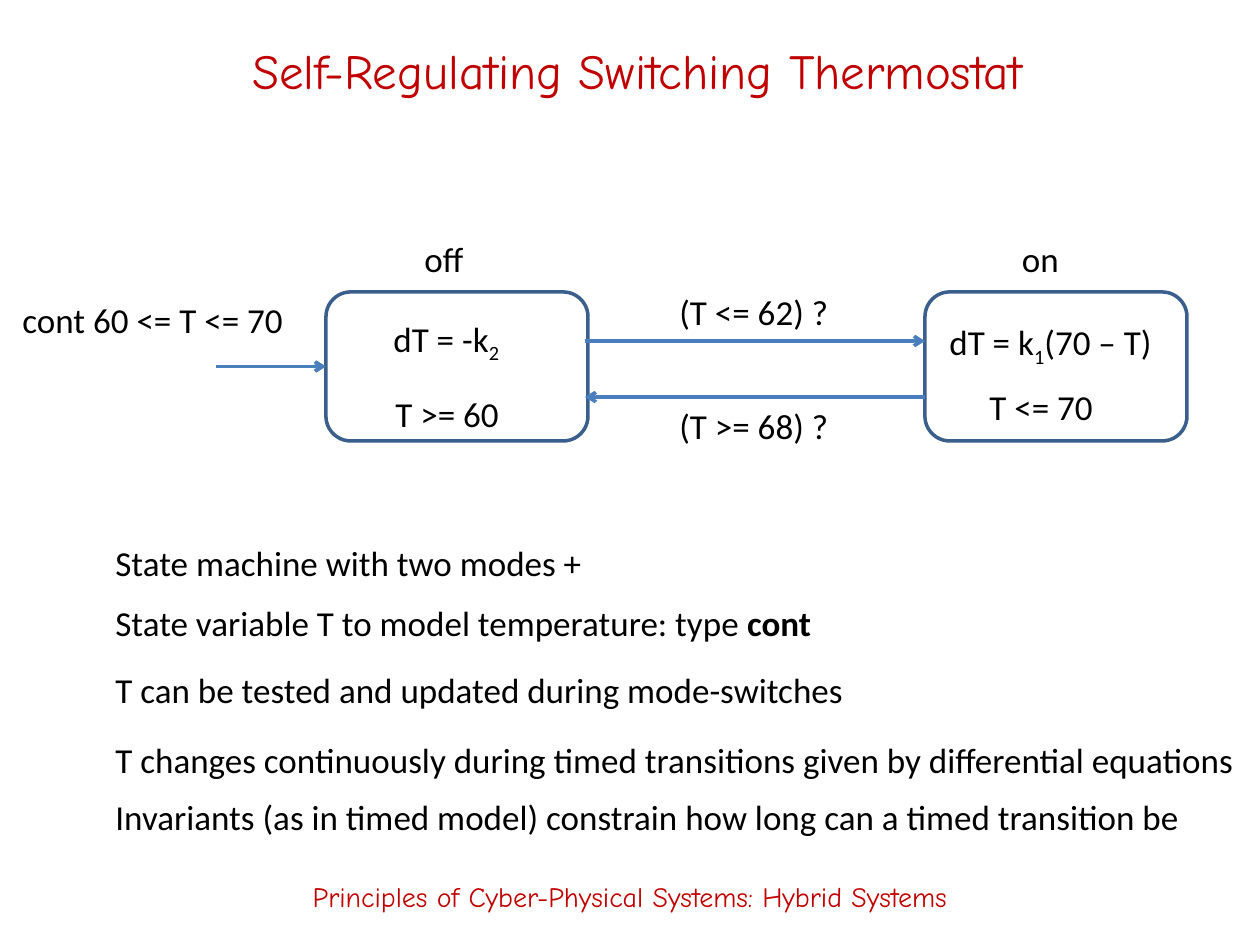
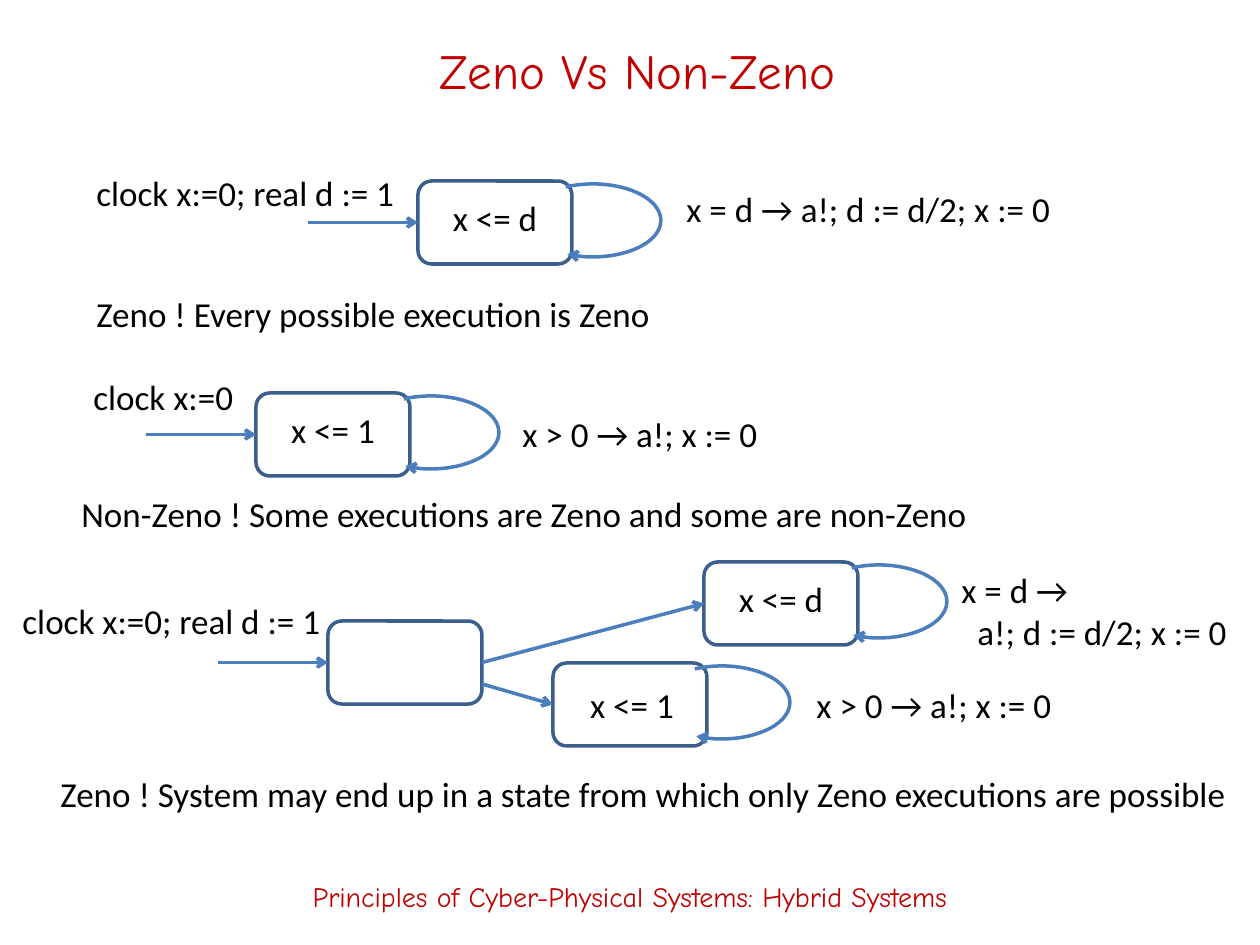
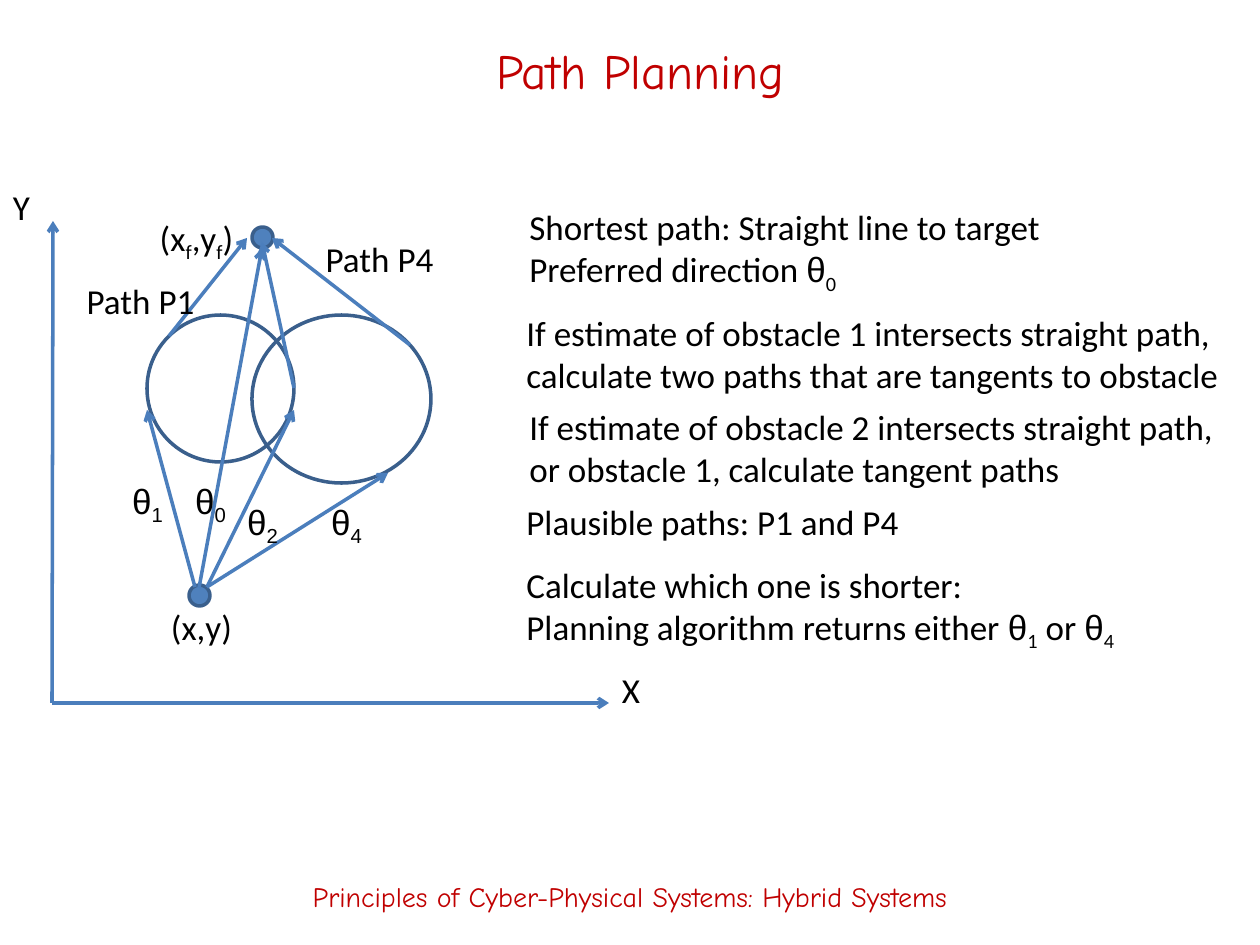
from pptx import Presentation
from pptx.dml.color import RGBColor
from pptx.enum.shapes import MSO_CONNECTOR, MSO_SHAPE as Shape
from pptx.enum.text import MSO_ANCHOR, MSO_AUTO_SIZE, PP_ALIGN
from pptx.oxml.ns import qn
from pptx.util import Pt
from lxml.etree import SubElement

EMU_PER_PX = 914400 / 126
RED = RGBColor(0xC0, 0x00, 0x00)
BLACK = RGBColor(0x00, 0x00, 0x00)
ARROW_BLUE = RGBColor(0x4B, 0x7E, 0xBC)
OUTLINE_BLUE = RGBColor(0x3A, 0x5F, 0x8C)
DOT_BLUE = RGBColor(0x4F, 0x81, 0xBD)

BODY = {"name": "Calibri", "size": Pt(20)}
TITLE = {"name": "Comic Neue", "size": Pt(28)}
FOOTER = {"name": "Comic Neue", "size": Pt(16)}
GREEK = {"name": "Arial"}
BOLD = {"bold": True}

LINE_WIDTH = Pt(2)
STATE_SIZE = (154, 83)
MODE_SIZE = (262, 149)
ENTRY_LENGTH = 110
LOOP_ANGLES = (138.608, 76.329)
TOP, LEFT, BOTTOM, RIGHT = range(4)


def px(*lengths):
    return [round(length * EMU_PER_PX) for length in lengths]


def subscript(text, **values):
    return text, {"subscript": True, **values}


def theta(index):
    return [("θ", GREEK), subscript(index)]


def add_run(paragraph, piece, base, color):
    text, extra = (piece, {}) if isinstance(piece, str) else piece
    run = paragraph.add_run()
    run.text = text
    run.font.color.rgb = color
    values = {**base, **extra}
    if values.pop("subscript", False):
        run._r.get_or_add_rPr().set("baseline", "-25000")
    for name, value in values.items():
        setattr(run.font, name, value)


def add_text(slide, left, top, width, *lines, height=None, base=BODY, color=BLACK,
             align=PP_ALIGN.LEFT, wrap=False):
    height = height or 13 + 42 * len(lines)
    box = slide.shapes.add_textbox(*px(left, top, width, height))
    frame = box.text_frame
    frame.word_wrap = wrap
    frame.auto_size = MSO_AUTO_SIZE.NONE if wrap else MSO_AUTO_SIZE.SHAPE_TO_FIT_TEXT
    frame.vertical_anchor = MSO_ANCHOR.MIDDLE if wrap else MSO_ANCHOR.TOP
    for number, line in enumerate(lines):
        paragraph = frame.add_paragraph() if number else frame.paragraphs[0]
        paragraph.alignment = align
        for piece in [line] if isinstance(line, str) else line:
            add_run(paragraph, piece, base, color)
    return box


def add_label(slide, left, top, width, *lines):
    return add_text(slide, left, top, width, *lines, align=PP_ALIGN.CENTER)


def add_outline(slide, kind, left, top, width, height, fill=None, color=OUTLINE_BLUE):
    shape = slide.shapes.add_shape(kind, *px(left, top, width, height))
    shape.shadow.inherit = False
    if fill is None:
        shape.fill.background()
    else:
        shape.fill.solid()
        shape.fill.fore_color.rgb = fill
    shape.line.color.rgb = color
    shape.line.width = LINE_WIDTH
    return shape


def add_arrowhead(shape):
    SubElement(shape.line._get_or_add_ln(), qn("a:tailEnd"), type="arrow")


def add_arrow(slide, start, end, source=None, target=None):
    arrow = slide.shapes.add_connector(MSO_CONNECTOR.STRAIGHT, *px(*start, *end))
    arrow.line.color.rgb = ARROW_BLUE
    arrow.line.width = LINE_WIDTH
    add_arrowhead(arrow)
    SubElement(arrow._element.spPr, qn("a:effectLst"))
    if source is not None:
        arrow.begin_connect(source, RIGHT)
    if target is not None:
        arrow.end_connect(target, LEFT)


def add_state(slide, left, top, size=STATE_SIZE, entry=False):
    state = add_outline(slide, Shape.ROUNDED_RECTANGLE, left, top, *size)
    if entry:
        middle = top + size[1] / 2
        add_arrow(slide, (left - ENTRY_LENGTH, middle), (left, middle), target=state)
    return state


def add_looping_state(slide, left, top, invariant, entry=False,
                      loop_shift=107, label_shift=(18, 9)):
    state = add_state(slide, left, top, entry=entry)
    loop = add_outline(slide, Shape.ARC, left + loop_shift, top + 3, 136, 73, color=ARROW_BLUE)
    for index, angle in enumerate(LOOP_ANGLES):
        loop.adjustments[index] = angle
    add_arrowhead(loop)
    add_label(slide, left + label_shift[0], top + label_shift[1], 118, invariant)
    return state


def add_titled_slide(presentation, title, left=97, width=1081):
    slide = presentation.slides.add_slide(presentation.slide_layouts[6])
    heading = {"height": 98, "color": RED, "align": PP_ALIGN.CENTER, "wrap": True}
    add_text(slide, left, 21, width, title, base=TITLE, **heading)
    add_text(slide, 0, 847, 1260, "Principles of Cyber-Physical Systems: Hybrid Systems",
             base=FOOTER, **heading)
    return slide


def build_thermostat(presentation):
    slide = add_titled_slide(presentation, "Self-Regulating Switching Thermostat")
    add_state(slide, 326, 292, MODE_SIZE, entry=True)
    add_state(slide, 925, 292, MODE_SIZE)
    add_label(slide, 411, 231, 66, "off")
    add_label(slide, 1009, 231, 63, "on")
    add_arrow(slide, (585, 341), (925, 341))
    add_arrow(slide, (925, 397), (585, 397))
    for left, top, width, line in (
        (10, 292, 289, "cont 60 <= T <= 70"),
        (667, 284, 175, "(T <= 62) ?"),
        (667, 398, 175, "(T >= 68) ?"),
        (381, 311, 134, ["dT = -k", subscript("2")]),
        (937, 314, 237, ["dT = k", subscript("1"), "(70 – T)"]),
        (383, 386, 130, "T >= 60"),
        (977, 379, 130, "T <= 70"),
    ):
        add_text(slide, left, top, width, line)
    for top, width, line in (
        (535, 496, "State machine with two modes +"),
        (595, 745, ["State variable T to model temperature: type ", ("cont", BOLD)]),
        (662, 760, "T can be tested and updated during mode-switches"),
        (732, 1157, "T changes continuously during timed transitions given by differential equations"),
        (789, 1100, "Invariants (as in timed model) constrain how long can a timed transition be"),
    ):
        add_text(slide, 103, top, width, line)


def build_zeno(presentation):
    slide = add_titled_slide(presentation, "Zeno Vs Non-Zeno")
    add_looping_state(slide, 418, 181, "x <= d", entry=True)
    add_looping_state(slide, 256, 393, "x <= 1", entry=True)
    choice = add_state(slide, 328, 621, entry=True)
    halving = add_looping_state(slide, 704, 562, "x <= d")
    resetting = add_looping_state(slide, 553, 663, "x <= 1", loop_shift=101, label_shift=(20, 14))
    add_arrow(slide, (482, 662), (704, 603), choice, halving)
    add_arrow(slide, (482, 684), (553, 704), target=resetting)
    for left, top, width, line in (
        (84, 165, 334, "clock x:=0; real d := 1"),
        (674, 181, 394, "x = d → a!; d := d/2; x := 0"),
        (84, 286, 592, "Zeno ! Every possible execution is Zeno"),
        (81, 369, 175, "clock x:=0"),
        (510, 406, 273, "x > 0 → a!; x := 0"),
        (69, 486, 926, "Non-Zeno ! Some executions are Zeno and some are non-Zeno"),
        (10, 593, 334, "clock x:=0; real d := 1"),
        (804, 677, 273, "x > 0 → a!; x := 0"),
        (48, 766, 1210, "Zeno ! System may end up in a state from which only Zeno executions are possible"),
    ):
        add_text(slide, left, top, width, line)
    halving_rule = add_text(slide, 949, 562, 292, "x = d →", "a!; d := d/2; x := 0")
    indent = px(16)[0]
    halving_rule.text_frame.paragraphs[1]._p.get_or_add_pPr().set("marL", str(indent))


def build_path_planning(presentation):
    slide = add_titled_slide(presentation, "Path Planning", left=84, width=1113)
    for left, top in ((189, 585), (252, 227)):
        add_outline(slide, Shape.OVAL, left, top, 21, 21, fill=DOT_BLUE)
    for obstacle in ((147, 315, 147, 147), (252, 315, 179, 168)):
        add_outline(slide, Shape.OVAL, *obstacle)
    for start, end in (
        ((52, 703), (609, 703)),
        ((52, 703), (53, 221)),
        ((199, 588), (262, 248)),
        ((207, 587), (294, 410)),
        ((294, 388), (262, 242)),
        ((195, 587), (147, 410)),
        ((169, 336), (247, 238)),
        ((207, 587), (388, 473)),
        ((410, 345), (272, 238)),
    ):
        add_arrow(slide, start, end)
    for left, top, width, line in (
        (609, 662, 44, "X"),
        (0, 179, 43, "Y"),
        (158, 599, 87, "(x,y)"),
        (146, 210, 101, ["(x", subscript("f"), ",y", subscript("f"), ")"]),
        (312, 231, 135, "Path P4"),
        (73, 273, 135, "Path P1"),
    ):
        add_label(slide, left, top, width, line)
    for left, top, index in ((116, 473, "1"), (179, 473, "0"), (231, 494, "2"), (315, 494, "4")):
        add_label(slide, left, top, 63, [("θ", GREEK), subscript(index, **GREEK)])
    for left, top, width, lines in (
        (517, 199, 542, ["Shortest path: Straight line to target",
                         ["Preferred direction ", *theta("0")]]),
        (514, 305, 732, ["If estimate of obstacle 1 intersects straight path,",
                         "calculate two paths that are tangents to obstacle"]),
        (517, 399, 743, ["If estimate of obstacle 2 intersects straight path,",
                         "or obstacle 1, calculate tangent paths"]),
        (514, 494, 420, ["Plausible paths: P1 and P4"]),
        (514, 557, 635, ["Calculate which one is shorter:",
                         ["Planning algorithm returns either ", *theta("1"), " or ", *theta("4")]]),
    ):
        add_text(slide, left, top, width, *lines)


def main():
    presentation = Presentation()
    presentation.slide_width, presentation.slide_height = px(1260, 945)
    build_thermostat(presentation)
    build_zeno(presentation)
    build_path_planning(presentation)
    presentation.save("out.pptx")


if __name__ == "__main__":
    main()
